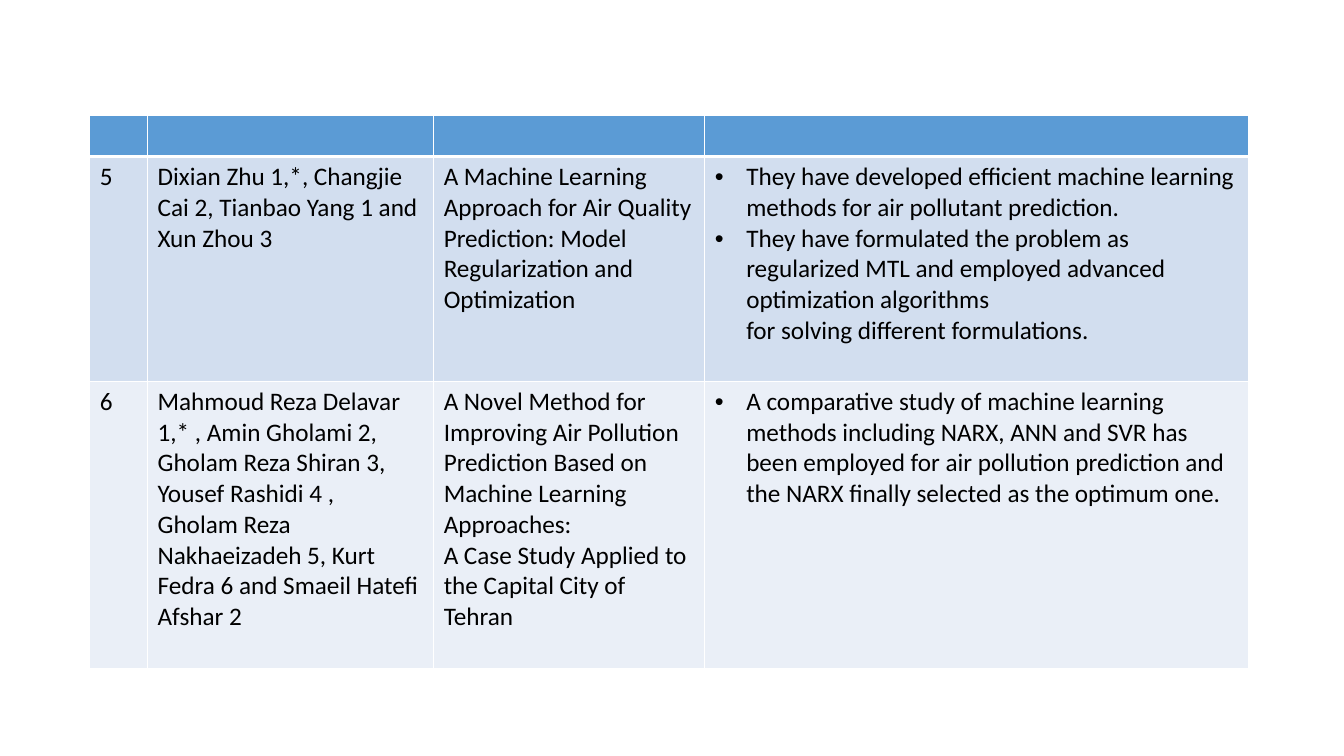
from pptx import Presentation
from pptx.dml.color import RGBColor
from pptx.oxml import parse_xml
from pptx.oxml.ns import nsdecls
from pptx.util import Pt

PAPERS = [
    ("5",
     "Dixian Zhu 1,*, Changjie Cai 2, Tianbao Yang 1 and Xun Zhou 3",
     "A Machine Learning Approach for Air Quality\n"
     "Prediction: Model Regularization and Optimization",
     ["They have developed efficient machine learning methods for air pollutant prediction.",
      "They have formulated the problem as regularized MTL and employed advanced "
      "optimization algorithms\nfor solving different formulations."]),
    ("6",
     "Mahmoud Reza Delavar 1,* , Amin Gholami 2, Gholam Reza Shiran 3, Yousef Rashidi 4 ,\n"
     "Gholam Reza Nakhaeizadeh 5, Kurt Fedra 6 and Smaeil Hatefi Afshar 2",
     "A Novel Method for Improving Air Pollution\n"
     "Prediction Based on Machine Learning Approaches:\n"
     "A Case Study Applied to the Capital City of Tehran",
     ["A comparative study of machine learning methods including NARX, ANN and SVR has\n"
      "been employed for air pollution prediction and the NARX finally selected as the "
      "optimum one."]),
]
COLUMN_WIDTHS = [41.2, 204.4, 193.6, 388.6]
ROW_HEIGHTS = [29.2, 160.6, 205]
LEFT, TOP = 64.2, 82.6
INDENT = 22.5
TEXT_COLOR = RGBColor(0, 0, 0)
BORDER_COLOR = RGBColor(0xFF, 0xFF, 0xFF)
ROW_FILLS = [RGBColor(0x5B, 0x9B, 0xD5), RGBColor(0xD2, 0xDE, 0xEF),
             RGBColor(0xEA, 0xEF, 0xF7)]


def add_borders(cell, row):
    properties = cell._tc.get_or_add_tcPr()
    widths = {"L": 1, "R": 1, "T": 3 if row == 1 else 1, "B": 3 if row == 0 else 1}
    for position, (side, width) in enumerate(widths.items()):
        properties.insert(position, parse_xml(
            f'<a:ln{side} {nsdecls("a")} w="{Pt(width)}"><a:solidFill>'
            f'<a:srgbClr val="{BORDER_COLOR}"/></a:solidFill></a:ln{side}>'))


def add_bullet(paragraph):
    properties = paragraph._p.get_or_add_pPr()
    properties.set("marL", str(Pt(INDENT)))
    properties.set("indent", str(-Pt(INDENT)))
    properties.append(parse_xml(f'<a:buFont {nsdecls("a")} typeface="Arial"/>'))
    properties.append(parse_xml(f'<a:buChar {nsdecls("a")} char="•"/>'))


def write(paragraph, wording):
    for number, line in enumerate(wording.split("\n")):
        if number:
            paragraph.add_line_break()
        run = paragraph.add_run()
        run.text = line
        run.font.name = "Calibri"
        run.font.size = Pt(18)
        run.font.color.rgb = TEXT_COLOR


def fill_cell(cell, content):
    findings = isinstance(content, list)
    for number, wording in enumerate(content if findings else [content]):
        frame = cell.text_frame
        paragraph = frame.add_paragraph() if number else frame.paragraphs[0]
        if findings:
            add_bullet(paragraph)
        write(paragraph, wording)


deck = Presentation()
deck.slide_width, deck.slide_height = Pt(960), Pt(540)
slide = deck.slides.add_slide(deck.slide_layouts[6])
survey = slide.shapes.add_table(
    len(ROW_HEIGHTS), len(COLUMN_WIDTHS), Pt(LEFT), Pt(TOP),
    Pt(sum(COLUMN_WIDTHS)), Pt(sum(ROW_HEIGHTS))).table
for column, width in zip(survey.columns, COLUMN_WIDTHS):
    column.width = Pt(width)
for row, (height, fill) in enumerate(zip(ROW_HEIGHTS, ROW_FILLS)):
    survey.rows[row].height = Pt(height)
    for column in range(len(COLUMN_WIDTHS)):
        cell = survey.cell(row, column)
        cell.fill.solid()
        cell.fill.fore_color.rgb = fill
        add_borders(cell, row)
        if row:
            fill_cell(cell, PAPERS[row - 1][column])
deck.save("out.pptx")
